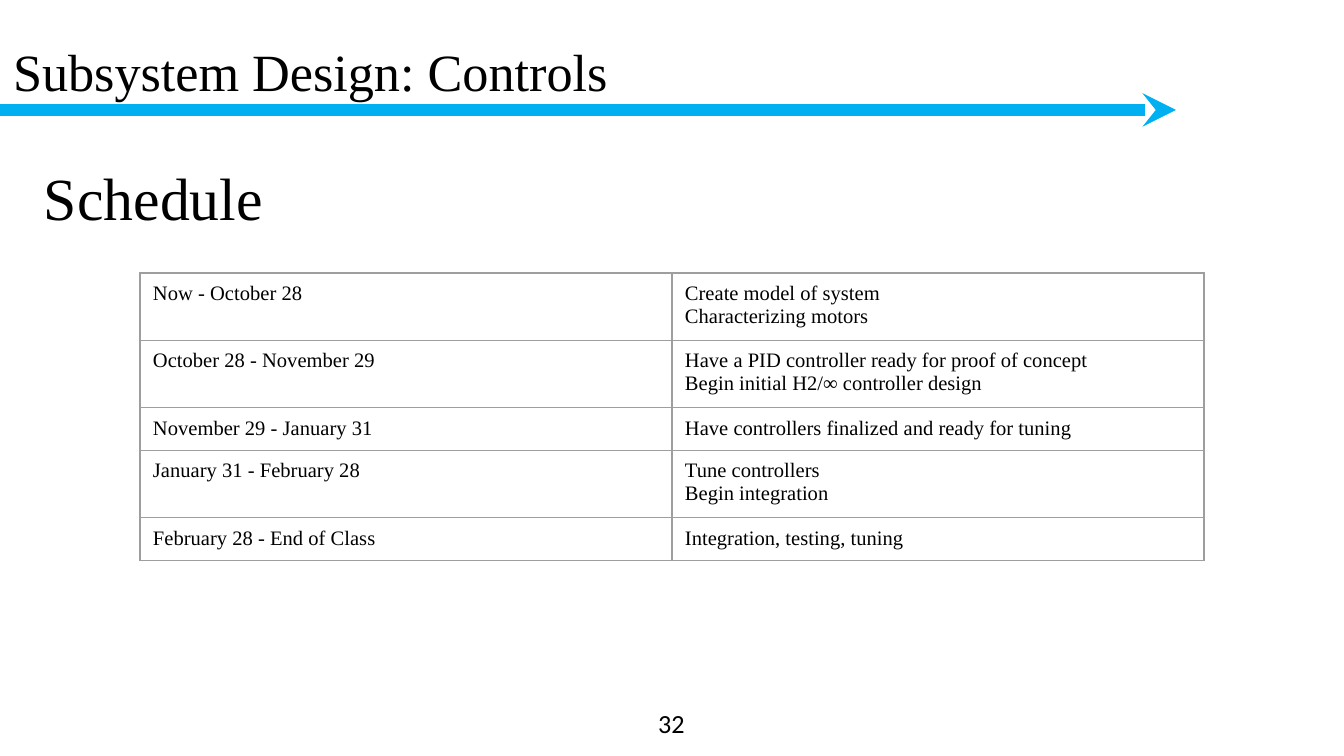
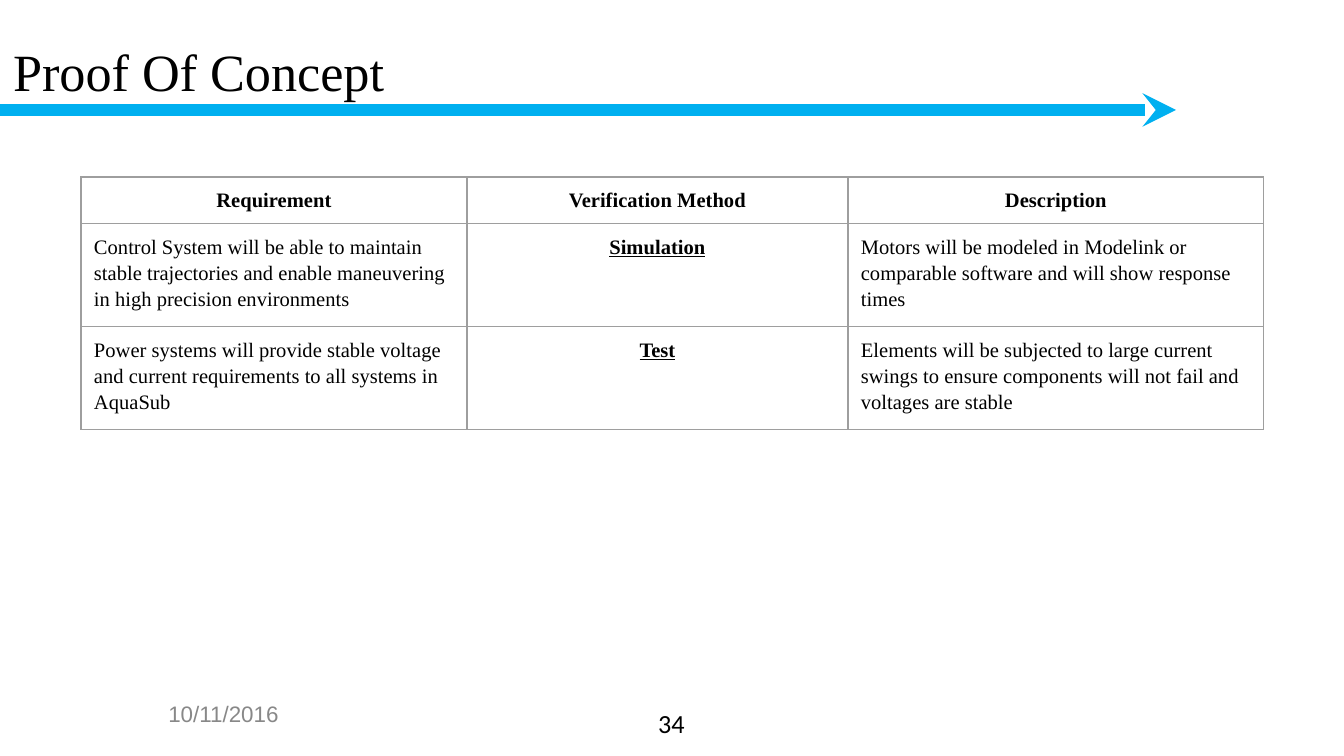
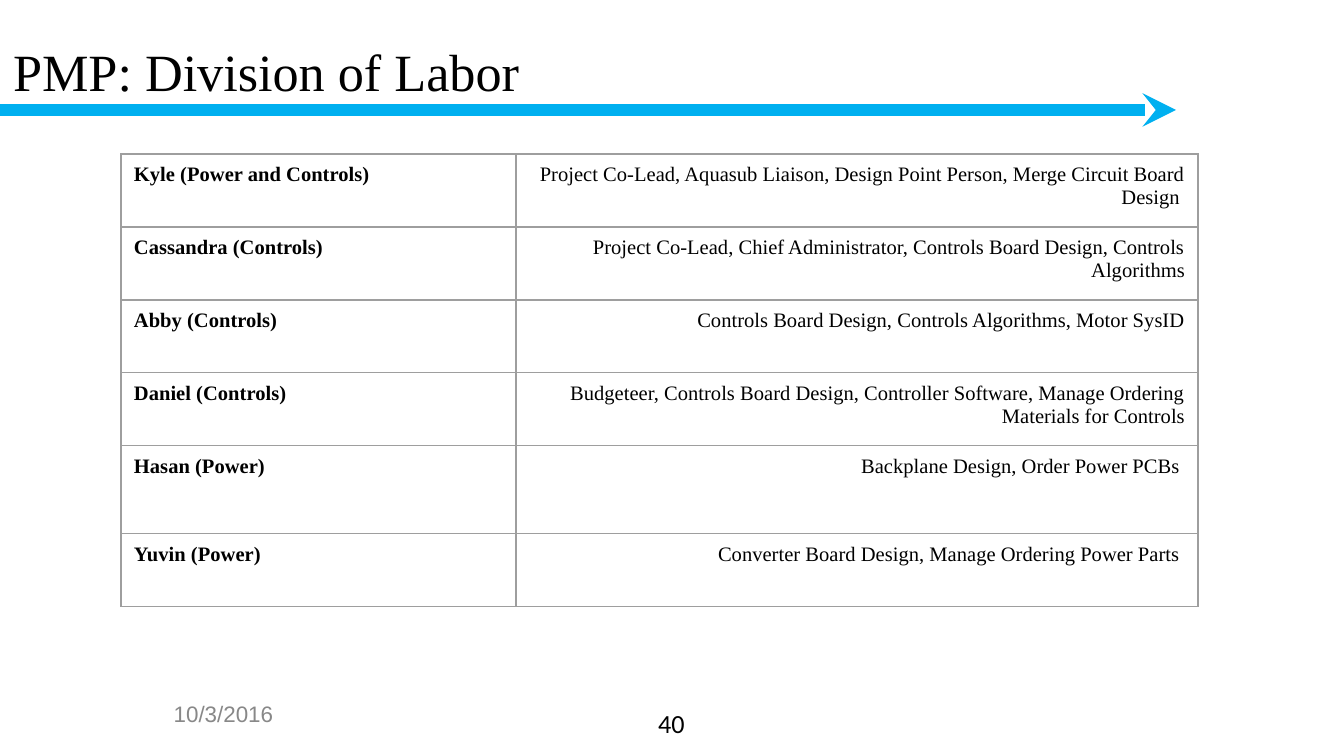
from lxml.etree import SubElement
from pptx import Presentation
from pptx.dml.color import RGBColor
from pptx.enum.shapes import MSO_CONNECTOR as CONN
from pptx.enum.text import MSO_ANCHOR as ANCHOR, MSO_AUTO_SIZE as AUTO, PP_ALIGN as ALIGN
from pptx.oxml import parse_xml
from pptx.oxml.ns import nsdecls, qn
from pptx.util import Emu, Pt

BLACK = RGBColor(0x00, 0x00, 0x00)
GREY = RGBColor(0x88, 0x88, 0x88)
BLUE = RGBColor(0x00, 0xB0, 0xF0)
BORDER = RGBColor(0x9E, 0x9E, 0x9E)
SERIF, SANS, NUMERAL = "Times New Roman", "Arial", "Calibri"
LEFT, CENTER, RIGHT = ALIGN.LEFT, ALIGN.CENTER, ALIGN.RIGHT


def px(n):
    return Emu(round(n * 914400 / 134.4))


class Deck:
    TITLE_ONLY = 5

    def __init__(self):
        self.prs = Presentation()
        self.prs.slide_width, self.prs.slide_height = px(1344), px(756)
        self.slide = None

    def set_text(self, tf, text, size, font=SERIF, color=BLACK, align=LEFT,
                 bold=False, underline=False, spacing=None, before=None):
        """Fill a text frame, one paragraph a line, in one style."""
        tf.word_wrap = True
        tf.text = text
        for p in tf.paragraphs:
            p.alignment = align
            p.line_spacing = spacing
            if before is not None:
                p.space_before = Pt(before)
            f = p.font
            f.name, f.size, f.bold, f.underline = font, Pt(size), bold, underline
            f.color.rgb = color

    def inset(self, frame, x, y):
        frame.margin_left = frame.margin_right = px(x)
        frame.margin_top = frame.margin_bottom = px(y)

    def new_slide(self, title, number, date=None, title_width=1210):
        self.slide = self.prs.slides.add_slide(self.prs.slide_layouts[self.TITLE_ONLY])
        self.title(title, title_width)
        self.arrow(0, 110, 1176)
        self.text(number, 515, 700, 313, 52, size=14, font=NUMERAL, align=CENTER)
        if date:
            self.text(date, 67, 688, 313, 52, anchor=ANCHOR.MIDDLE,
                      size=12, font=SANS, color=GREY, align=CENTER)

    def title(self, text, width):
        sp = self.slide.shapes.title
        sp.left, sp.top, sp.width, sp.height = px(0), px(8), px(width), px(126)
        tf = sp.text_frame
        tf.auto_size = AUTO.NONE
        tf.vertical_anchor = ANCHOR.MIDDLE
        self.inset(tf, 13, 7)
        self.set_text(tf, text, 28)

    def arrow(self, x1, y, x2):
        """Header arrow, placed behind the title."""
        shapes = self.slide.shapes
        cxn = shapes.add_connector(CONN.STRAIGHT, px(x1), px(y), px(x2), px(y))
        cxn.line.color.rgb = BLUE
        cxn.line.width = Pt(6)
        spPr = cxn._element.spPr
        SubElement(spPr.find(qn("a:ln")), qn("a:tailEnd"), type="stealth")
        SubElement(spPr, qn("a:effectLst"))
        shapes.title._element.addprevious(cxn._element)

    def text(self, text, x, y, w, h, anchor=ANCHOR.TOP, inset=(13, 7), indent=0, **style):
        tf = self.slide.shapes.add_textbox(px(x), px(y), px(w), px(h)).text_frame
        tf.vertical_anchor = anchor
        self.inset(tf, *inset)
        tf.margin_left += px(indent)
        self.set_text(tf, text, **style)

    def table(self, x, y, widths, heights, rows, style):
        """Draw rows of text; style(row, column) gives a cell's text style."""
        tbl = self.slide.shapes.add_table(len(rows), len(widths), px(x), px(y),
                                          px(sum(widths)), px(sum(heights))).table
        tbl.first_row = tbl.horz_banding = False
        for col, w in zip(tbl.columns, widths):
            col.width = px(w)
        for row, h in zip(tbl.rows, heights):
            row.height = px(h)
        for i, row in enumerate(rows):
            for j, text in enumerate(row):
                cell = tbl.cell(i, j)
                self.inset(cell, 13, 9)
                self.set_text(cell.text_frame, text, 11, **style(i, j))
                cell.fill.background()
                self.borders(cell)

    def borders(self, cell):
        tcPr = cell._tc.get_or_add_tcPr()
        for i, side in enumerate("LRTB"):
            tcPr.insert(i, parse_xml(
                f'<a:ln{side} {nsdecls("a")} w="{Pt(0.75)}"><a:solidFill>'
                f'<a:srgbClr val="{BORDER}"/></a:solidFill></a:ln{side}>'))


SCHEDULE = [
    ("Now - October 28", "Create model of system\nCharacterizing motors"),
    ("October 28 - November 29", "Have a PID controller ready for proof of concept\n"
                                 "Begin initial H2/∞ controller design"),
    ("November 29 - January 31", "Have controllers finalized and ready for tuning"),
    ("January 31 - February 28", "Tune controllers\nBegin integration"),
    ("February 28 - End of Class", "Integration, testing, tuning"),
]

REQUIREMENTS = [
    ("Requirement", "Verification Method", "Description"),
    ("Control System will be able to maintain stable trajectories and enable "
     "maneuvering in high precision environments",
     "Simulation",
     "Motors will be modeled in Modelink or comparable software and will show response times"),
    ("Power systems will provide stable voltage and current requirements to all "
     "systems in AquaSub",
     "Test",
     "Elements will be subjected to large current swings to ensure components will "
     "not fail and voltages are stable"),
]

LABOR = [
    ("Kyle (Power and Controls)",
     "Project Co-Lead, Aquasub Liaison, Design Point Person, Merge Circuit Board Design "),
    ("Cassandra (Controls)",
     "Project Co-Lead, Chief Administrator, Controls Board Design, Controls Algorithms"),
    ("Abby (Controls)", "Controls Board Design, Controls Algorithms, Motor SysID"),
    ("Daniel (Controls)",
     "Budgeteer, Controls Board Design, Controller Software, Manage Ordering "
     "Materials for Controls"),
    ("Hasan (Power)", "Backplane Design, Order Power PCBs "),
    ("Yuvin (Power)", "Converter Board Design, Manage Ordering Power Parts "),
]


def requirement_style(row, col):
    header, method = row == 0, col == 1
    return dict(align=CENTER if header or method else LEFT, bold=header or method,
                underline=method and not header, spacing=1.15)


def labor_style(row, col):
    return dict(align=RIGHT) if col else dict(bold=True)


def main():
    deck = Deck()

    # Controls schedule
    deck.new_slide("Subsystem Design: Controls", "32")
    deck.text("Schedule", 0, 148, 1210, 499, inset=(13, 13), indent=31, size=32, before=6.4)
    deck.table(140, 273, [532] * 2, [42] * 5, SCHEDULE, lambda row, col: {})

    # Proof of concept
    deck.new_slide("Proof Of Concept", "34", "10/11/2016", title_width=1266)
    deck.table(81, 177, [386, 381, 416], [42] * 3, REQUIREMENTS, requirement_style)

    # Division of labor
    deck.new_slide("PMP: Division of Labor", "40", "10/3/2016")
    deck.table(121, 154, [395, 682], [73, 73, 73, 73, 88, 73], LABOR, labor_style)

    deck.prs.save("out.pptx")


if __name__ == "__main__":
    main()
